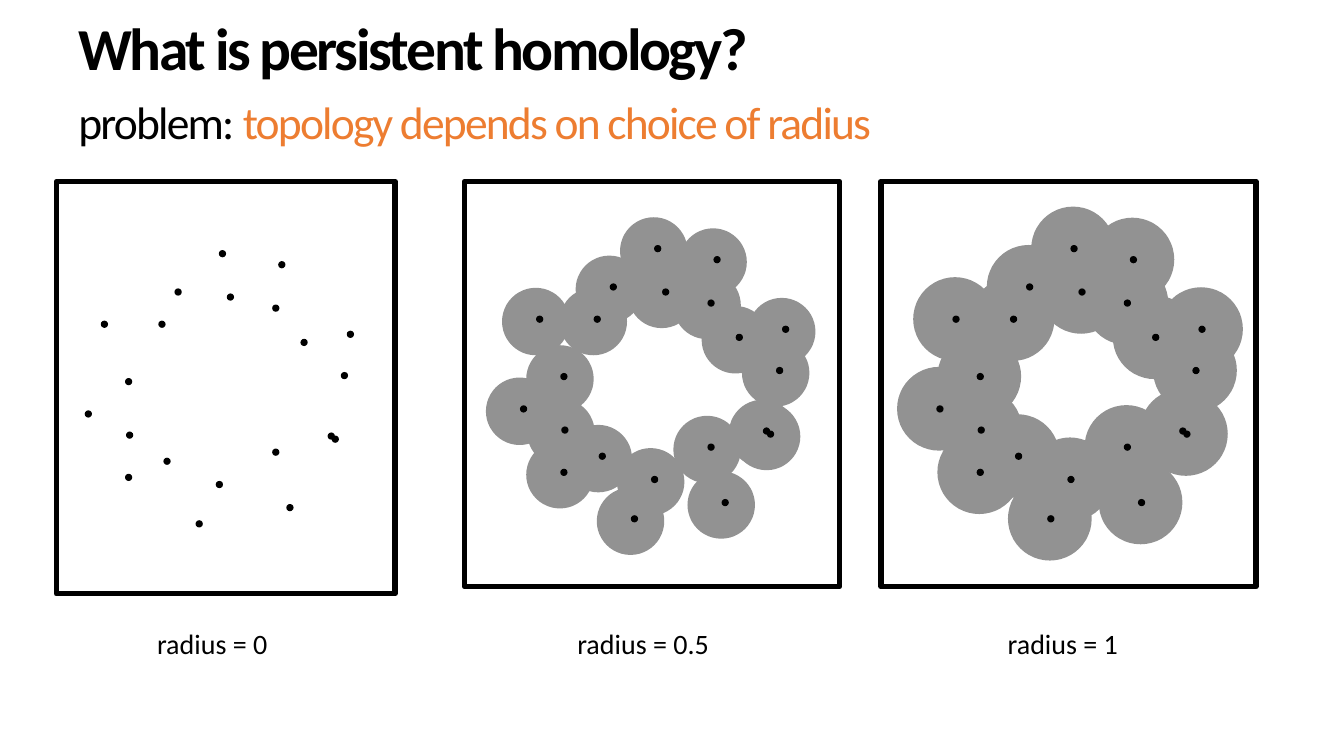
from pptx import Presentation
from pptx.dml.color import RGBColor
from pptx.enum.shapes import MSO_SHAPE
from pptx.enum.text import MSO_ANCHOR, MSO_AUTO_SIZE
from pptx.util import Pt

COLORS = {"ink": "000000", "disc": "929292", "accent": "ED7D31"}
FONT = "Calibri"
DOT = 5.2

# Sample points, measured from the top left of the cloud
CLOUD = [
    (182.9, 87.1), (52.6, 50.4), (144, 181.4), (173.5, 130.3), (176.4, 132.5),
    (133.9, 141.8), (0, 114.5), (29.5, 129.6), (28.8, 159.8), (56.2, 148.3),
    (79.2, 193), (93.6, 164.9), (95.8, 0), (64.1, 27.4), (11.5, 50.4),
    (28.8, 91.4), (133.9, 38.9), (138.2, 7.9), (101.5, 31), (154.1, 63.4),
    (187.2, 57.6),
]

# Frame box, layers of (left, top, size, colour) inside it, caption and its box
DOTS = (39.5, 45.4, DOT, "ink")
PANELS = [
    ((40.3, 129.6, 241.9, 294.5), [(20.2, 49, DOT, "ink")],
     "radius = 0", (110.2, 445.7, 83.5, 28)),
    ((331.9, 129.6, 267.8, 289.4), [(15.2, 25.6, 48.2, "disc"), DOTS],
     "radius = 0.5", (410.4, 445.7, 98.6, 28)),
    ((629.3, 129.6, 267.8, 289.4), [(11.5, 18, 59.8, "disc"), DOTS],
     "radius = 1", (717.8, 445.7, 83.5, 28)),
]


def paint(name):
    return RGBColor.from_string(COLORS[name])


def add_text(slide, box, runs, size, bold=False, track=0, lead=None, fit=False):
    """Add one paragraph of (text, colour) runs; fit sizes the box to its text."""
    frame = slide.shapes.add_textbox(*map(Pt, box)).text_frame
    frame.margin_left = frame.margin_right = Pt(2)
    frame.margin_top = frame.margin_bottom = Pt(2)
    frame.word_wrap = not fit
    if fit:
        frame.auto_size = MSO_AUTO_SIZE.SHAPE_TO_FIT_TEXT
        frame.vertical_anchor = MSO_ANCHOR.MIDDLE
    para = frame.paragraphs[0]
    if lead:
        para.line_spacing = lead
    for text, color in runs:
        run = para.add_run()
        run.text = text
        run.font.name = FONT
        run.font.size = Pt(size)
        run.font.bold = bold
        run.font.color.rgb = paint(color)
        if track:
            run._r.get_or_add_rPr().set("spc", str(round(track * 100)))


def add_cloud(group, left, top, size, color):
    """Draw one circle of the given size for each sample point."""
    for x, y in CLOUD:
        disc = group.shapes.add_shape(
            MSO_SHAPE.OVAL, Pt(left + x), Pt(top + y), Pt(size), Pt(size))
        disc.shadow.inherit = False
        disc.fill.solid()
        disc.fill.fore_color.rgb = paint(color)
        disc.line.fill.background()


def add_panel(slide, box, layers, label, place):
    left, top = box[:2]
    group = slide.shapes.add_group_shape()
    for x, y, size, color in layers:
        add_cloud(group, left + x, top + y, size, color)
    frame = slide.shapes.add_shape(MSO_SHAPE.RECTANGLE, *map(Pt, box))
    frame.shadow.inherit = False
    frame.fill.background()
    frame.line.color.rgb = paint("ink")
    frame.line.width = Pt(4)
    add_text(slide, place, [(label, "ink")], 20, fit=True)


def add_header(slide, left, top):
    add_text(slide, (left, top, 864.7, 56.2),
             [("What is persistent homology?", "ink")],
             42.5, bold=True, track=-1.7, lead=0.8)
    add_text(slide, (left, top + 56.9, 795.6, 92.2),
             [("problem: ", "ink"),
              ("topology depends on choice of radius", "accent")],
             32.5, track=-1.3, lead=0.8)


def main():
    deck = Presentation()
    deck.slide_width, deck.slide_height = Pt(960), Pt(540)
    slide = deck.slides.add_slide(deck.slide_layouts[6])
    for panel in PANELS:
        add_panel(slide, *panel)
    add_header(slide, 54, 15.8)
    deck.save("out.pptx")


if __name__ == "__main__":
    main()
